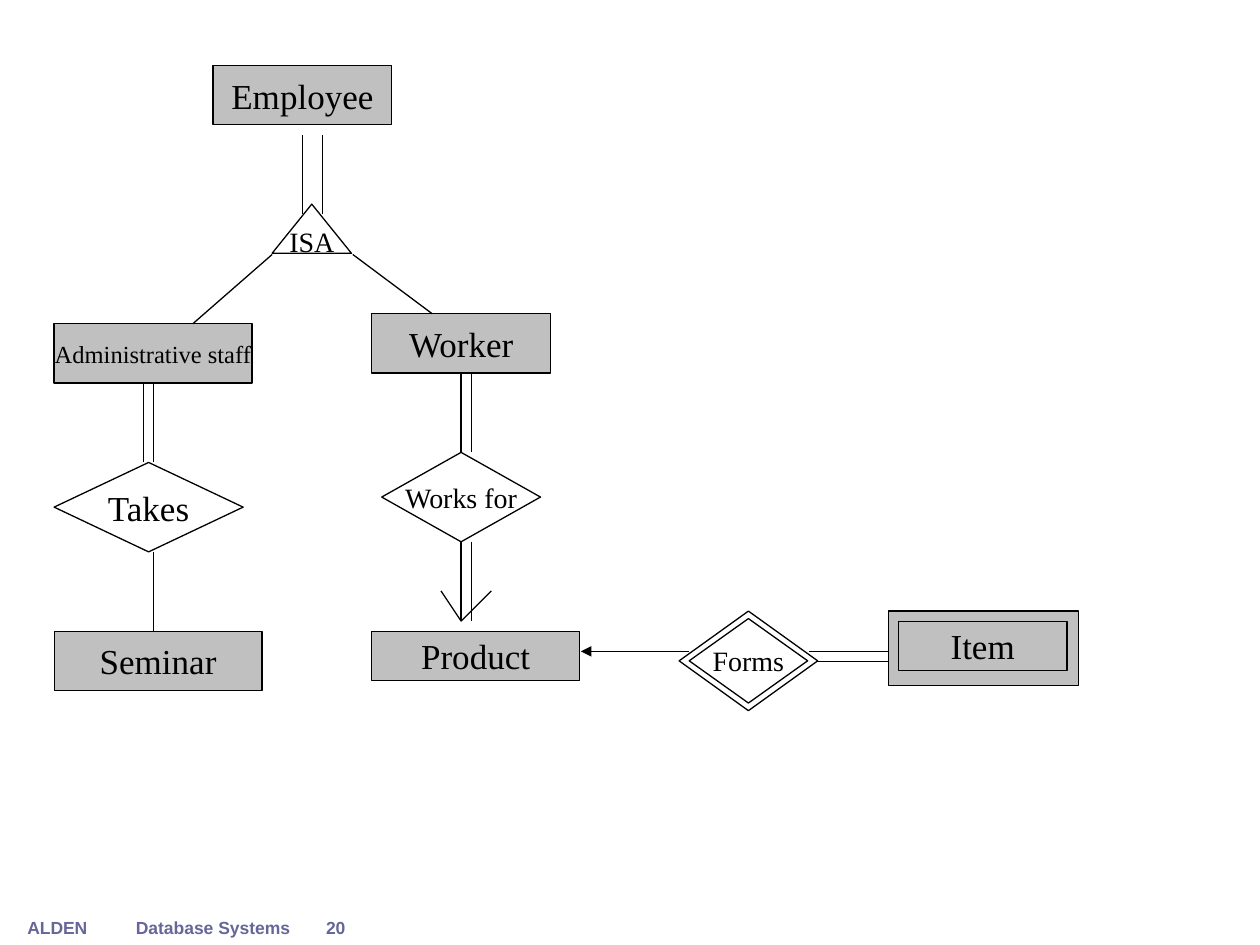
"""Build an entity-relationship slide on employees, products and items."""
from lxml import etree
from pptx import Presentation
from pptx.dml.color import RGBColor
from pptx.enum.shapes import MSO_CONNECTOR, MSO_SHAPE
from pptx.enum.text import MSO_ANCHOR, MSO_AUTO_SIZE, PP_ALIGN
from pptx.oxml.ns import qn
from pptx.util import Inches, Pt

RECT = MSO_SHAPE.RECTANGLE
RHOMB = MSO_SHAPE.FLOWCHART_DECISION
DIAMOND = MSO_SHAPE.DIAMOND
TRI = MSO_SHAPE.ISOSCELES_TRIANGLE
LINE = MSO_CONNECTOR.STRAIGHT
MIDDLE, TOP = MSO_ANCHOR.MIDDLE, MSO_ANCHOR.TOP
CENTER, LEFT = PP_ALIGN.CENTER, PP_ALIGN.LEFT
GROW = MSO_AUTO_SIZE.SHAPE_TO_FIT_TEXT

BLACK = RGBColor(0, 0, 0)
WHITE = RGBColor(255, 255, 255)
GRAY = RGBColor(0xC0, 0xC0, 0xC0)
SLATE = RGBColor(0x66, 0x66, 0x99)
SERIF, SANS = "Times New Roman", "Arial"

FOOTER = [
    ("ALDEN", 0.02, 0.87, CENTER),
    ("20", 2.23, 0.87, CENTER),
    ("Database Systems", 0.98, 1.42, LEFT),
]
NODES = [
    ("ISA", TRI, None, 16, (2.16, 1.62, 0.63, 0.39)),
    ("Employee", RECT, GRAY, 20, (1.69, 0.52, 1.42, 0.47)),
    ("Administrative staff", RECT, GRAY, 14, (0.43, 2.57, 1.57, 0.47)),
    ("Worker", RECT, GRAY, 20, (2.95, 2.49, 1.42, 0.47)),
    ("Takes", RHOMB, WHITE, 20, (0.43, 3.67, 1.5, 0.71)),
    ("Seminar", RECT, GRAY, 20, (0.43, 5.01, 1.65, 0.47)),
    ("Works for", RHOMB, WHITE, 16, (3.03, 3.59, 1.26, 0.71)),
    ("Product", RECT, GRAY, 20, (2.95, 5.01, 1.65, 0.39)),
    ("", RECT, GRAY, 20, (7.05, 4.85, 1.51, 0.59)),
    ("Item", RECT, GRAY, 20, (7.13, 4.93, 1.34, 0.39)),
]
FORMS = [
    ("", DIAMOND, WHITE, 16, (5.39, 4.85, 1.1, 0.79)),
    ("Forms", RHOMB, WHITE, 16, (5.47, 4.91, 0.94, 0.67)),
]
PAIRS = [
    (2.4, 1.07, 2.4, 1.7, 0.16, 0),
    (1.14, 3.04, 1.14, 3.67, 0.08, 0),
    (3.66, 2.96, 3.66, 3.59, 0.08, 0),
    (3.66, 4.3, 3.66, 4.93, 0.08, 0),
    (6.42, 5.17, 7.05, 5.17, 0, 0.08),
]
SINGLES = [
    (2.16, 2.02, 1.53, 2.57),
    (2.8, 2.02, 3.43, 2.49),
    (1.22, 4.38, 1.22, 5.01),
    (3.5, 4.69, 3.66, 4.93),
    (3.9, 4.69, 3.66, 4.93),
]
ARROW = (5.47, 5.17, 4.61, 5.17)


def write(frame, text, size, font, color, align, anchor, bold=False):
    frame.word_wrap = False
    frame.vertical_anchor = anchor
    para = frame.paragraphs[0]
    para.alignment = align
    para.space_before = Pt(size * 0.62)
    run = para.add_run()
    run.text = text
    run.font.size = Pt(size)
    run.font.name = font
    run.font.bold = bold
    run.font.color.rgb = color


def draw_node(slide, text, kind, fill, size, box):
    node = slide.shapes.add_shape(kind, *map(Inches, box))
    node.shadow.inherit = False
    if fill is None:
        node.fill.background()
    else:
        node.fill.solid()
        node.fill.fore_color.rgb = fill
    node.line.color.rgb = BLACK
    node.line.width = Pt(0.75)
    if text:
        write(node.text_frame, text, size, SERIF, BLACK, CENTER, MIDDLE)
    return node


def draw_line(slide, ends):
    line = slide.shapes.add_connector(LINE, *map(Inches, ends))
    line.line.color.rgb = BLACK
    line.line.width = Pt(0.75)
    etree.SubElement(line._element.spPr, qn("a:effectLst"))
    return line


def main():
    deck = Presentation()
    deck.slide_width, deck.slide_height = Inches(10), Inches(7.5)
    slide = deck.slides.add_slide(deck.slide_layouts[6])
    for text, left, width, align in FOOTER:
        box = slide.shapes.add_textbox(*map(Inches, (left, 7.23, width, 0.27)))
        write(box.text_frame, text, 10, SANS, SLATE, align, TOP, True)
        box.text_frame.auto_size = GROW
    nodes = {node[0]: draw_node(slide, *node) for node in NODES}
    firsts = []
    for x1, y1, x2, y2, dx, dy in PAIRS:
        firsts.append(draw_line(slide, (x1, y1, x2, y2)))
        draw_line(slide, (x1 + dx, y1 + dy, x2 + dx, y2 + dy))
    firsts[2].begin_connect(nodes["Worker"], 2)
    firsts[2].end_connect(nodes["Works for"], 0)
    firsts[3].begin_connect(nodes["Works for"], 2)
    for ends in SINGLES:
        draw_line(slide, ends)
    arrow = draw_line(slide, ARROW)
    etree.SubElement(arrow.line._get_or_add_ln(), qn("a:tailEnd"), type="triangle")
    for node in FORMS:
        draw_node(slide, *node)
    deck.save("out.pptx")


if __name__ == "__main__":
    main()
